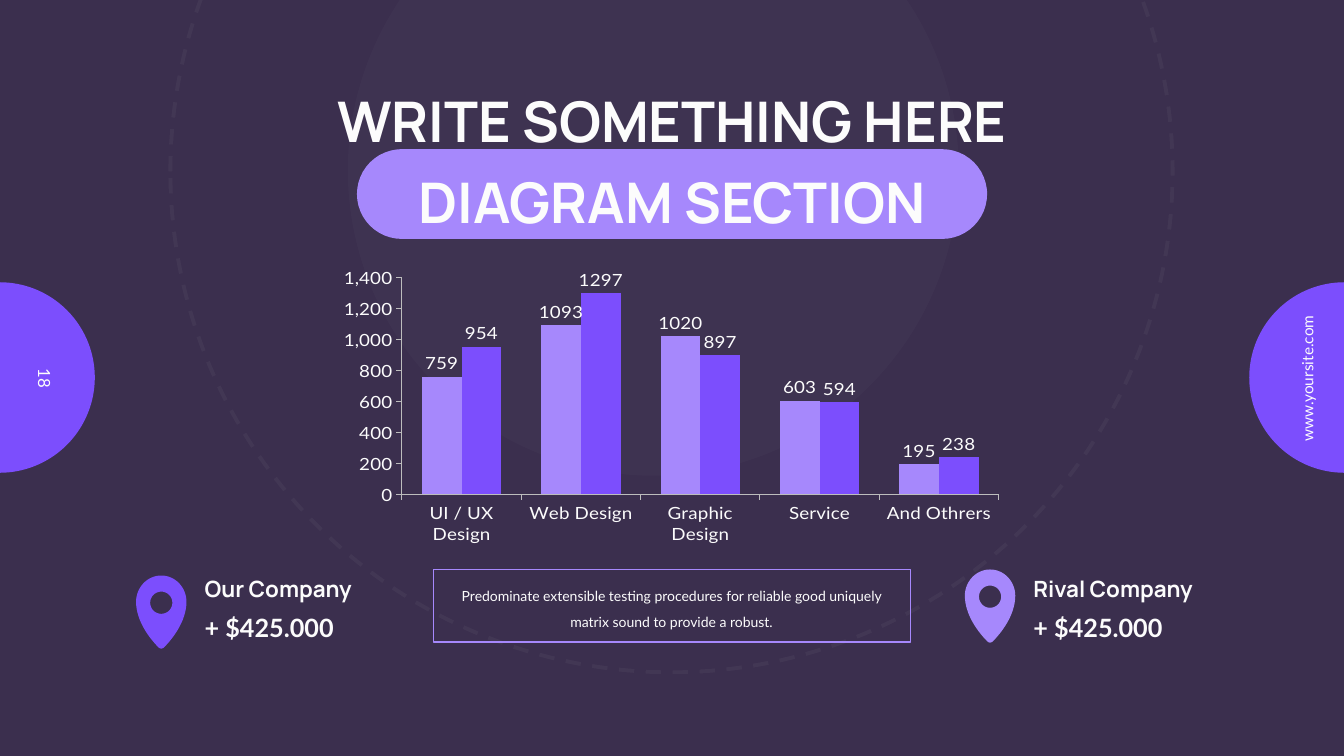
from math import cos, pi, sin

from lxml import etree
from pptx import Presentation
from pptx.chart.data import CategoryChartData
from pptx.dml.color import RGBColor
from pptx.enum.chart import XL_CHART_TYPE as ChartType
from pptx.enum.chart import XL_LABEL_POSITION as LabelPosition
from pptx.enum.chart import XL_TICK_MARK as TickMark
from pptx.enum.dml import MSO_LINE_DASH_STYLE as Dash
from pptx.enum.shapes import MSO_SHAPE as Preset
from pptx.enum.text import MSO_ANCHOR as Anchor
from pptx.enum.text import MSO_AUTO_SIZE as AutoSize
from pptx.enum.text import PP_ALIGN as Align
from pptx.oxml import parse_xml
from pptx.oxml.ns import nsdecls, qn
from pptx.util import Inches, Pt

NIGHT = RGBColor(0x3B, 0x2F, 0x4E)
VIOLET = RGBColor(0x7C, 0x4E, 0xFD)
LILAC = RGBColor(0xA6, 0x88, 0xFC)
WHITE = RGBColor(0xFC, 0xFC, 0xFC)
GREY = RGBColor(0xBD, 0xBD, 0xBD)

CATEGORIES = ["UI / UX Design", "Web Design", "Graphic Design", "Service", "And Othrers"]
SERIES = [
    ("Series 1", (759, 1093, 1020, 603, 195), LILAC),
    ("Series 2", (954, 1297, 897, 594, 238), VIOLET),
]


def set_opacity(fill_format, percent):
    """Make the solid colour of a fill partly transparent."""
    color = fill_format._xPr.find(qn("a:solidFill"))[0]
    etree.SubElement(color, qn("a:alpha")).set("val", str(percent * 1000))


def add_preset(slide, preset, box, fill=None, line=None, width=1):
    shape = slide.shapes.add_shape(preset, *map(Inches, box))
    shape.shadow.inherit = False
    if fill is None:
        shape.fill.background()
    else:
        shape.fill.solid()
        shape.fill.fore_color.rgb = fill
    if line is None:
        shape.line.fill.background()
    else:
        shape.line.color.rgb = line
        shape.line.width = Pt(width)
    return shape


def fill_text(shape, lines, size, font, bold=False, align=Align.CENTER,
              spacing=1.0, anchor=Anchor.TOP):
    frame = shape.text_frame
    frame.word_wrap = True
    frame.auto_size = AutoSize.NONE
    frame.vertical_anchor = anchor
    frame.margin_left = frame.margin_right = frame.margin_top = frame.margin_bottom = 0
    for index, line in enumerate(lines):
        paragraph = frame.paragraphs[0] if index == 0 else frame.add_paragraph()
        paragraph.text = line
        paragraph.alignment = align
        paragraph.line_spacing = spacing
        paragraph.space_before = Pt(0)
        paragraph.font.size = Pt(size)
        paragraph.font.name = font
        paragraph.font.bold = bold
        paragraph.font.color.rgb = WHITE


def add_text(parent, box, text, size, font, **style):
    shape = parent.shapes.add_textbox(*map(Inches, box))
    fill_text(shape, [text], size, font, **style)
    return shape


def add_side_label(slide, circle_left, box, text, size, rotation):
    add_preset(slide, Preset.OVAL, (circle_left, 2.8, 1.89, 1.89), VIOLET)
    label = add_text(slide, box, text, size, "Lato", anchor=Anchor.MIDDLE)
    label.rotation = rotation


def bezier(start, first, second, end, steps=16):
    for step in range(1, steps + 1):
        t = step / steps
        weights = ((1 - t) ** 3, 3 * t * (1 - t) ** 2, 3 * t * t * (1 - t), t ** 3)
        yield tuple(sum(weight * point[axis] for weight, point
                        in zip(weights, (start, first, second, end))) for axis in (0, 1))


def add_pin(parent, left, top, color):
    """A map pin, 0.5 by 0.72 inches, with a round hole."""
    center = left + 0.25
    # Right half, from the top down to the tip, as offsets from the centre
    half = [(0, 0)]
    for curve in (((0.14, 0), (0.25, 0.12), (0.25, 0.26)),
                  ((0.25, 0.46), (0.1, 0.64), (0.03, 0.71)),
                  ((0.02, 0.72), (0.01, 0.725), (0, 0.725))):
        half += list(bezier(half[-1], *curve))
    outline = half + [(-x, y) for x, y in reversed(half[1:-1])]
    angles = [-2 * pi * step / 40 for step in range(40)]
    hole = [(0.11 * cos(angle), 0.27 + 0.11 * sin(angle)) for angle in angles]

    builder = None
    for contour in (outline, hole):
        points = [(Inches(center + x), Inches(top + y)) for x, y in contour]
        if builder is None:
            builder = parent.shapes.build_freeform(*points[0])
        else:
            builder.move_to(*points[0])
        builder.add_line_segments(points[1:], close=True)
    pin = builder.convert_to_shape()
    pin.shadow.inherit = False
    pin.fill.solid()
    pin.fill.fore_color.rgb = color
    pin.line.fill.background()


def add_company(slide, left, pin_top, name, amount, color):
    group = slide.shapes.add_group_shape()
    text_left = left + 0.68
    add_text(group, (text_left, 6.07, 1.6, 0.3), amount, 18, "Lato",
             bold=True, align=Align.LEFT)
    add_text(group, (text_left, 5.71, 2.15, 0.27), name, 16, "Manrope",
             bold=True, align=Align.LEFT)
    add_pin(group, left, pin_top, color)


def add_title(slide):
    add_preset(slide, Preset.ROUNDED_RECTANGLE, (3.54, 1.48, 6.25, 0.89),
               LILAC).adjustments[0] = 0.5
    title = slide.shapes.title
    title.left, title.top, title.width, title.height = map(Inches, (1.35, 0.73, 10.63, 1.51))
    fill_text(title, ["WRITE SOMETHING HERE", "DIAGRAM SECTION"], 40, "Manrope",
              bold=True, spacing=1.2)
    # Bring the title in front of its pill
    title.element.getparent().append(title.element)


def add_column_chart(slide):
    data = CategoryChartData()
    data.categories = CATEGORIES
    for name, values, _ in SERIES:
        data.add_series(name, values)
    chart = slide.shapes.add_chart(ChartType.COLUMN_CLUSTERED,
                                   *map(Inches, (3.41, 2.65, 6.5, 2.75)), data).chart
    chart.has_legend = False
    chart.has_title = False
    chart.font.size = Pt(14)
    chart.font.name = "Lato"
    chart.font.color.rgb = WHITE

    for axis in (chart.category_axis, chart.value_axis):
        axis.has_major_gridlines = False
        axis.major_tick_mark = TickMark.OUTSIDE
        axis.minor_tick_mark = TickMark.NONE
        axis.format.line.color.rgb = GREY
        axis.format.line.width = Pt(0.75)
    chart.value_axis.minimum_scale = 0
    chart.value_axis.maximum_scale = 1400
    chart.value_axis.major_unit = 200
    chart.value_axis.tick_labels.number_format = "#,##0"
    chart.value_axis.tick_labels.number_format_is_linked = False

    plot = chart.plots[0]
    plot.gap_width = 100
    plot.overlap = 0
    plot.vary_by_categories = False
    for series, (_, _, color) in zip(plot.series, SERIES):
        series.format.fill.solid()
        series.format.fill.fore_color.rgb = color
        labels = series.data_labels
        labels.show_value = True
        labels.position = LabelPosition.OUTSIDE_END

    # Fix the inner plot area
    area = chart._chartSpace.chart.plotArea
    for layout in area.findall(qn("c:layout")):
        area.remove(layout)
    sizes = "".join(f'<c:{key} val="{value}"/>' for key, value in
                    (("x", 0.086), ("y", 0.034), ("w", 0.951), ("h", 0.915)))
    area.insert(0, parse_xml(
        f'<c:layout {nsdecls("c")}><c:manualLayout><c:layoutTarget val="inner"/>'
        f'<c:xMode val="edge"/><c:yMode val="edge"/>{sizes}</c:manualLayout></c:layout>'))


def main():
    presentation = Presentation()
    presentation.slide_width = Inches(13.33)
    presentation.slide_height = Inches(7.5)
    slide = presentation.slides.add_slide(presentation.slide_layouts[5])
    slide.background.fill.solid()
    slide.background.fill.fore_color.rgb = NIGHT

    # Page number and site address
    add_side_label(slide, -0.95, (-0.03, 3.31, 0.95, 0.89), "18", 12, 90)
    add_side_label(slide, 12.39, (12.23, 3.61, 1.47, 0.29), "www.yoursite.com", 11, 270)

    # Faint backdrop
    disc = add_preset(slide, Preset.OVAL, (3.45, -1.34, 6.06, 6.06), WHITE)
    set_opacity(disc.fill, 2)
    ring = add_preset(slide, Preset.OVAL, (1.69, -3.27, 9.94, 9.94), line=WHITE, width=2.75)
    ring.line.dash_style = Dash.DASH
    set_opacity(ring.line.fill, 4)

    add_title(slide)
    add_column_chart(slide)

    # Framed caption
    add_text(slide, (4.49, 5.75, 4.34, 0.47),
             "Predominate extensible testing procedures for reliable good uniquely "
             "matrix sound to provide a robust.", 10, "Lato", spacing=1.5)
    add_preset(slide, Preset.RECTANGLE, (4.3, 5.65, 4.73, 0.72), line=LILAC)

    # Companies
    add_company(slide, 9.57, 5.65, "Rival Company", "+ $425.000", LILAC)
    add_company(slide, 1.35, 5.71, "Our Company", "+ $425.000", VIOLET)

    presentation.save("out.pptx")


if __name__ == "__main__":
    main()
